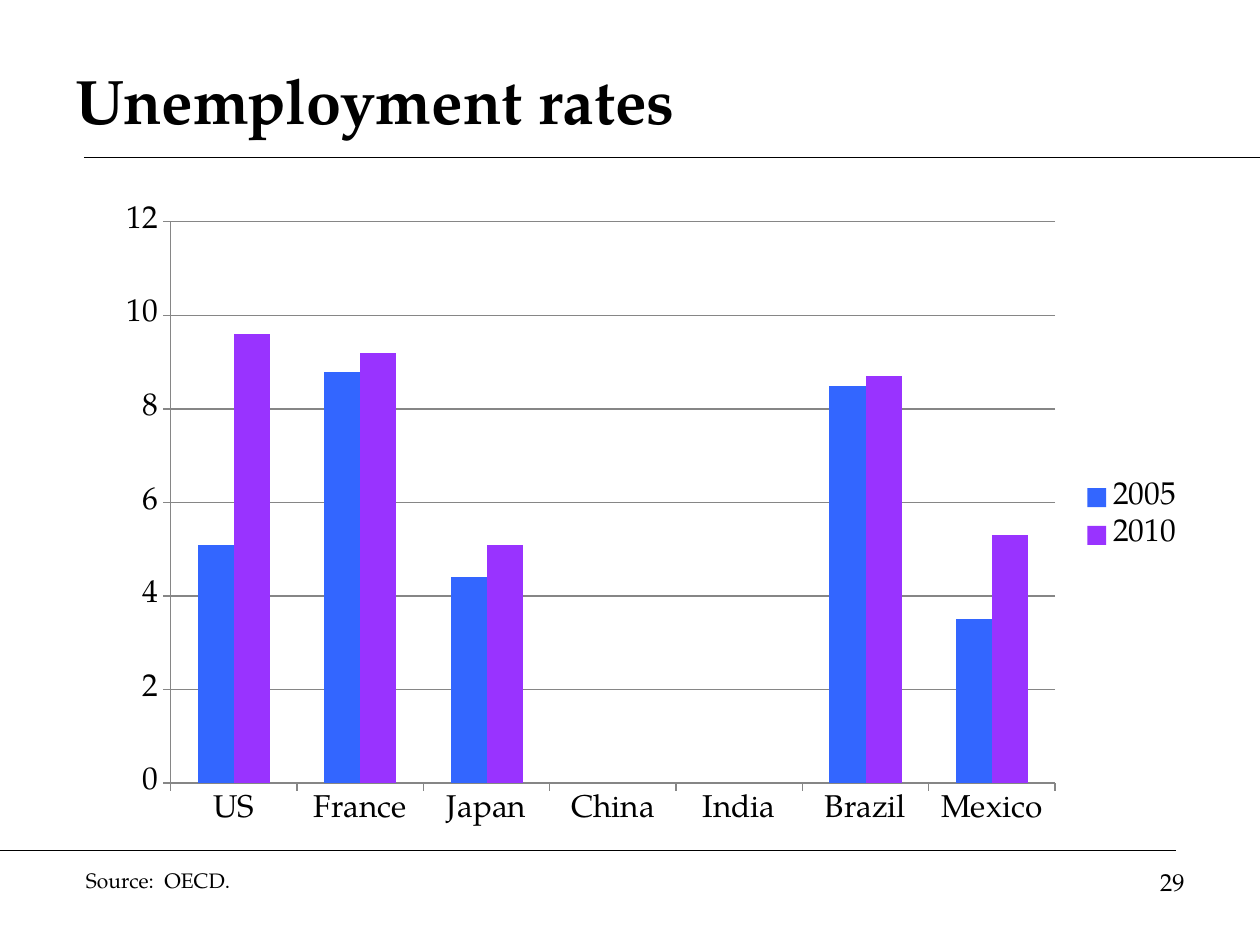
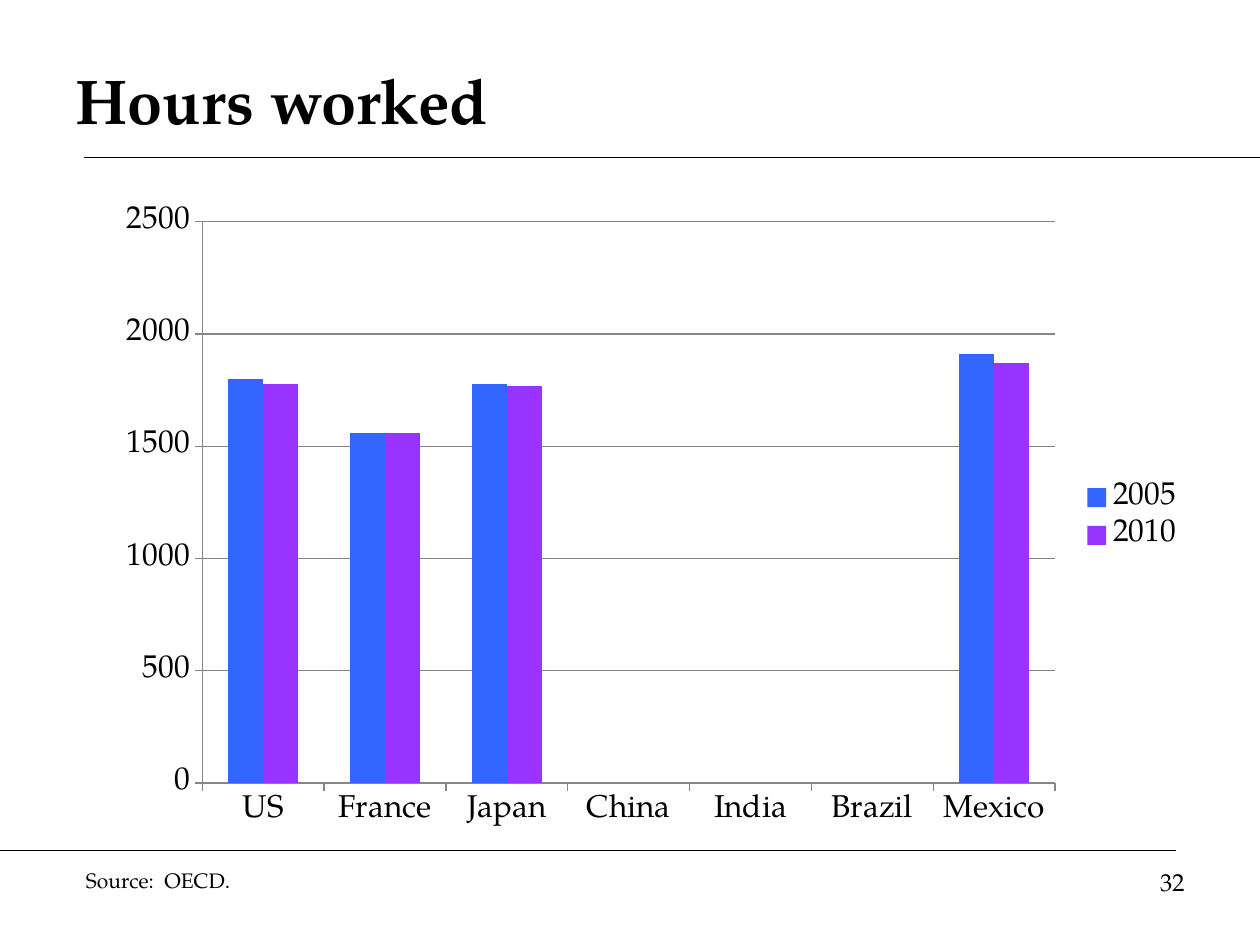
import pptx
import pptx.chart.data
import pptx.dml.color
import pptx.enum.chart
import pptx.enum.shapes
import pptx.enum.text
import pptx.oxml
import pptx.util

RGBColor = pptx.dml.color.RGBColor
Align = pptx.enum.text.PP_ALIGN
Anchor = pptx.enum.text.MSO_ANCHOR

BLACK = RGBColor(0x00, 0x00, 0x00)
GREY = RGBColor(0x86, 0x86, 0x86)
BLUE = RGBColor(0x33, 0x66, 0xFF)
PURPLE = RGBColor(0x99, 0x33, 0xFF)

FONT = "TeX Gyre Pagella"
WIDTH = pptx.util.Inches(10)
HEIGHT = pptx.util.Inches(7.5)
COLUMNS = 12
ROWS = 90
TITLE_RULE_ROW = 15
FOOTER_RULE_ROW = 81
FOOTER_ROW = 82

COUNTRIES = ["US", "France", "Japan", "China", "India", "Brazil", "Mexico"]
YEAR_COLOURS = {"2005": BLUE, "2010": PURPLE}
SOURCE = "Source:  OECD."


def across(columns):
    return round(WIDTH * columns / COLUMNS)


def down(rows):
    return round(HEIGHT * rows / ROWS)


def place(left, top, width, height):
    return across(left), down(top), across(width), down(height)


def style_font(font, size, bold=False):
    font.name = FONT
    font.size = pptx.util.Pt(size)
    font.bold = bold
    font.color.rgb = BLACK


def add_rule(page, start, end, row):
    rule = page.shapes.add_connector(
        pptx.enum.shapes.MSO_CONNECTOR.STRAIGHT,
        across(start), down(row), across(end), down(row))
    rule.line.color.rgb = BLACK
    rule.line.width = pptx.util.Pt(0.75)
    properties = rule._element.spPr
    properties.append(properties.makeelement(pptx.oxml.ns.qn("a:effectLst"), {}))


def add_text(page, area, text, size, bold=False, align=Align.LEFT, anchor=Anchor.TOP):
    box = page.shapes.add_textbox(*place(*area))
    frame = box.text_frame
    frame.word_wrap = True
    frame.vertical_anchor = anchor
    para = frame.paragraphs[0]
    para.text = text
    para.alignment = align
    style_font(para.font, size, bold)


def style_line(line):
    line.color.rgb = GREY
    line.width = pptx.util.Pt(0.75)


def add_column_chart(page, values_by_year, top_value, step):
    data = pptx.chart.data.CategoryChartData()
    data.categories = COUNTRIES
    for year, values in values_by_year.items():
        data.add_series(year, values)
    chart = page.shapes.add_chart(
        pptx.enum.chart.XL_CHART_TYPE.COLUMN_CLUSTERED,
        *place(1, 18.4, 10.4, 61.6), data).chart
    style_font(chart.font, 18)
    chart.has_title = False

    chart.has_legend = True
    chart.legend.position = pptx.enum.chart.XL_LEGEND_POSITION.RIGHT
    chart.legend.include_in_layout = False

    for axis in (chart.category_axis, chart.value_axis):
        axis.major_tick_mark = pptx.enum.chart.XL_TICK_MARK.OUTSIDE
        style_line(axis.format.line)
    scale = chart.value_axis
    scale.minimum_scale = 0
    scale.maximum_scale = top_value
    scale.major_unit = step
    scale.has_major_gridlines = True
    style_line(scale.major_gridlines.format.line)

    plot = chart.plots[0]
    plot.gap_width = 150
    plot.overlap = 0
    plot.vary_by_categories = False
    for series in plot.series:
        series.invert_if_negative = False
        series.format.fill.solid()
        series.format.fill.fore_color.rgb = YEAR_COLOURS[series.name]


def add_chart_page(deck, title, number, values_by_year, top_value, step):
    page = deck.slides.add_slide(deck.slide_layouts[6])
    add_rule(page, 0.8, COLUMNS, TITLE_RULE_ROW)
    add_rule(page, 0, COLUMNS - 0.8, FOOTER_RULE_ROW)
    add_text(page, (0.6, 4, 10.8, 11), title, 36, bold=True, anchor=Anchor.MIDDLE)
    add_text(page, (0.7, FOOTER_ROW, 5.8, 3.6), SOURCE, 12)
    add_text(page, (8.6, FOOTER_ROW, 2.8, 6.2), str(number), 14, align=Align.RIGHT)
    add_column_chart(page, values_by_year, top_value, step)


def main():
    deck = pptx.Presentation()
    deck.slide_width = WIDTH
    deck.slide_height = HEIGHT
    unemployment = {
        "2005": [5.1, 8.8, 4.4, None, None, 8.5, 3.5],
        "2010": [9.6, 9.2, 5.1, None, None, 8.7, 5.3],
    }
    hours = {
        "2005": [1800, 1560, 1780, None, None, None, 1910],
        "2010": [1780, 1560, 1770, None, None, None, 1870],
    }
    add_chart_page(deck, "Unemployment rates", 29, unemployment, 12, 2)
    add_chart_page(deck, "Hours worked", 32, hours, 2500, 500)
    deck.save("out.pptx")


if __name__ == "__main__":
    main()
